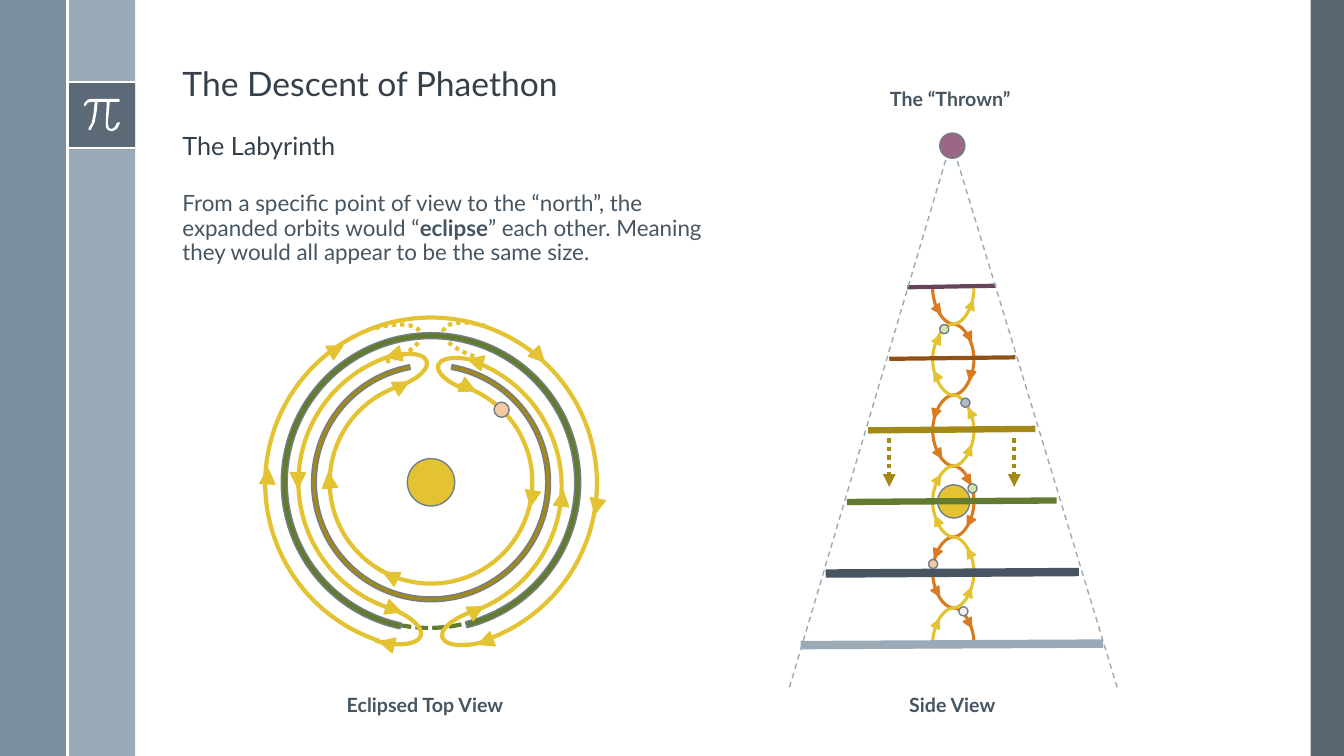
from lxml import etree
from pptx import Presentation
from pptx.dml.color import RGBColor
from pptx.enum.dml import MSO_LINE
from pptx.enum.shapes import MSO_CONNECTOR, MSO_SHAPE
from pptx.enum.text import MSO_ANCHOR, MSO_AUTO_SIZE, PP_ALIGN
from pptx.oxml.ns import qn
from pptx.util import Inches, Pt

RECT, OVAL, TRIANGLE = MSO_SHAPE.RECTANGLE, MSO_SHAPE.OVAL, MSO_SHAPE.ISOSCELES_TRIANGLE
ARC, BLOCK_ARC = MSO_SHAPE.ARC, MSO_SHAPE.BLOCK_ARC
STRAIGHT, CURVE = MSO_CONNECTOR.STRAIGHT, MSO_CONNECTOR.CURVE
DASH, DOT, SHORT_DASH = MSO_LINE.DASH, MSO_LINE.ROUND_DOT, MSO_LINE.SQUARE_DOT
TOP, BOTTOM = MSO_ANCHOR.TOP, MSO_ANCHOR.BOTTOM
LEFT, CENTER = PP_ALIGN.LEFT, PP_ALIGN.CENTER
NO_FIT = MSO_AUTO_SIZE.NONE

CELL = Inches(0.01)
COLUMNS, ROWS, BAND = 1333, 750, 67
FONT = "Lato"
COLORS = {
    "white": "FFFFFF", "heading": "35404A", "text": "465562", "slate": "475562",
    "steel": "6A8093", "mist": "9BAAB7", "outline": "737E87", "gold": "E4C333",
    "orange": "D97B20", "green": "637B2E", "olive": "A48916", "brown": "915216",
    "plum": "674459", "mauve": "9A6785", "peach": "F1C9A3", "haze": "AFBBC6",
    "lime": "D4E3B4", "pearl": "F2F2F2",
}
PI_OUTLINE = [
    (118, 98), (90, 98), (87, 99), (84, 102), (83, 104), (84, 105), (85, 105), (87, 102),
    (90, 101), (94, 101), (93, 112), (91, 122), (88, 127), (88, 129), (90, 129), (94, 121),
    (96, 110), (97, 101), (106, 101), (105, 122), (105, 126), (107, 129), (110, 130),
    (112, 130), (116, 128), (119, 122), (118, 121), (116, 122), (114, 126), (111, 128),
    (108, 127), (107, 122), (109, 101), (118, 101), (119, 100),
]
DESCENT_HEADS = [
    (926, 303, 144.8), (957, 330, 154.5), (958, 368, 190.1), (923, 406, 197.1),
    (927, 446, 148.1), (956, 472, 150.3), (957, 513, 206.9), (924, 545, 202.2),
    (925, 583, 150.2), (957, 614, 150.5),
]
ASCENT_HEADS = [
    (925, 614, 23.7), (957, 583, 20.8), (957, 544, 331.9), (925, 512, 335.8),
    (926, 471, 32.8), (957, 442, 21.5), (958, 405, 333.6), (924, 368, 332.9),
    (926, 332, 26), (959, 298, 20.5),
]
ORBIT_HEADS = [
    (527, 346, 136.3), (584, 495, 191.1), (474, 629, 248.5), (465, 598, 62),
    (550, 487, 7.7), (520, 487, 188.6), (376, 631, 284), (383, 597, 109.9),
    (258, 465, 2.8), (288, 469, 180), (319, 469, 354.2), (380, 564, 296.3),
    (457, 377, 115.2), (464, 351, 284.9), (326, 339, 60.6), (383, 345, 255.1),
    (391, 375, 61.6),
]
LOOP = (163.52, 52.26)
LABYRINTH_ARCS = [
    ((263, 315, 329, 329), 90, (10.94, 204.11), ""),
    ((294, 351, 263, 263), 90, (119.17, 205.85), ""),
    ((327, 378, 201, 201), 90, (117.51, 20.14), ""),
    ((437, 605, 79, 32), 163.5, LOOP, ""),
    ((433, 358, 73, 30), 197.2, LOOP, ""),
    ((327, 378, 201, 201), 270, (117.03, 201.12), "H"),
    ((296, 347, 263, 263), 270, (119.17, 205.85), "H"),
    ((334, 601, 85, 35), 196.5, LOOP, "H"),
    ((350, 354, 75, 31), 162.8, LOOP, "H"),
]
SIDE_RINGS = [
    (900, 988, "plum", 3), (882, 1007, "brown", 3), (861, 1027, "olive", 4.5),
    (840, 1048, "green", 4.5), (819, 1070, "slate", 6), (794, 1094, "mist", 6),
]
PLANETS = [(921, 555, "peach"), (953, 395, "haze"), (932, 322, "lime"),
           (951, 602, "pearl"), (960, 480, "lime")]


def cells(*counts):
    """Convert counts of grid cells to lengths."""
    return [round(count * CELL) for count in counts]


def rgb(name):
    """Look up a named colour."""
    return RGBColor.from_string(COLORS[name])


def style_line(line, color, width, dash=None):
    """Give a line its colour, width and dash."""
    line.color.rgb = rgb(color)
    line.width = Pt(width)
    if dash:
        line.dash_style = dash


def paint(shape, fill=None, line=None, width=1, dash=None, alpha=None):
    """Give a shape its fill and outline."""
    shape.shadow.inherit = False
    if fill:
        shape.fill.solid()
        shape.fill.fore_color.rgb = rgb(fill)
    else:
        shape.fill.background()
    if alpha:
        color = shape.element.spPr.find(".//" + qn("a:srgbClr"))
        etree.SubElement(color, qn("a:alpha")).set("val", str(alpha * 1000))
    if line:
        style_line(shape.line, line, width, dash)
    else:
        shape.line.fill.background()


def add_figure(slide, kind, box, turn=0, flip="", cuts=(), **look):
    """Add a preset shape, turned, flipped and adjusted by its cuts."""
    figure = slide.shapes.add_shape(kind, *cells(*box))
    figure.rotation = turn
    for index, cut in enumerate(cuts):
        figure.adjustments[index] = cut
    for axis in flip:
        figure.element.spPr.xfrm.set("flip" + axis, "1")
    paint(figure, **look)


def add_heads(slide, heads, size, color):
    """Add the direction triangles of an orbit."""
    for left, top, turn in heads:
        add_figure(slide, TRIANGLE, (left, top, size, size), turn, fill=color, line=color)


def add_line(slide, ends, color, width, dash=None, arrow=False, kind=STRAIGHT, turn=0, flip=False):
    """Add a straight or curved connector."""
    link = slide.shapes.add_connector(kind, *cells(*ends))
    style_line(link.line, color, width, dash)
    frame = link.element.spPr.xfrm
    if turn:
        frame.set("rot", str(turn * 60000))
    if flip:
        frame.set("flipH", "1")
    if arrow:
        outline = link.element.spPr.find(qn("a:ln"))
        etree.SubElement(outline, qn("a:tailEnd")).set("type", "triangle")
    etree.SubElement(link.element.spPr, qn("a:effectLst"))


def write(holder, box, *parts, size=14, color="text", bold=False, align=LEFT, anchor=TOP, spacing=1.0, after=0):
    """Place a text holder and fill it, with every second part in bold."""
    holder.left, holder.top, holder.width, holder.height = cells(*box)
    frame = holder.text_frame
    frame.word_wrap, frame.auto_size, frame.vertical_anchor = True, NO_FIT, anchor
    paragraph = frame.paragraphs[0]
    properties = paragraph._p.get_or_add_pPr()
    properties.set("marL", "0")
    properties.set("indent", "0")
    etree.SubElement(properties, qn("a:buNone"))
    paragraph.alignment, paragraph.line_spacing = align, spacing
    paragraph.space_before, paragraph.space_after = Pt(0), Pt(after)
    for index, part in enumerate(parts):
        run = paragraph.add_run()
        run.text = part
        run.font.name, run.font.size = FONT, Pt(size)
        run.font.bold = bold or index % 2 == 1
        run.font.color.rgb = rgb(color)


def add_label(slide, left, top, caption):
    """Add a centred bold caption."""
    label = slide.shapes.add_textbox(0, 0, CELL, CELL)
    write(label, (left, top, 279, 34), caption, bold=True, align=CENTER)


def draw_sidebars(slide):
    """Draw the side bands and the pi badge."""
    add_figure(slide, RECT, (COLUMNS - 33, 0, 33, ROWS), fill="slate", alpha=90)
    add_figure(slide, RECT, (BAND, 0, BAND, ROWS), fill="mist")
    add_figure(slide, RECT, (0, 0, BAND, ROWS), fill="steel", alpha=88)
    add_figure(slide, RECT, (BAND, 81, BAND, BAND), fill="slate", alpha=75)
    for row in (81, 147):
        add_line(slide, (BAND, row, 2 * BAND, row), "white", 1.5)
    badge = slide.shapes.build_freeform(*PI_OUTLINE[0], scale=CELL)
    badge.add_line_segments(PI_OUTLINE[1:], close=True)
    paint(badge.convert_to_shape(), fill="white")
    add_line(slide, (BAND, 0, BAND, ROWS), "white", 1.5)


def draw_strand(slide, color, starts_left, heads):
    """Draw one strand of the side-view helix."""
    for turn in range(5):
        top = 301 + 70.4 * turn
        rightward = starts_left == (turn % 2 == 0)
        add_line(slide, (910, top, 981, top + 41), color, 2.25, kind=CURVE,
                 turn=270 if rightward else 90, flip=rightward)
    add_heads(slide, heads, 9, color)


def draw_side_view(slide):
    """Draw the cone of sight with its stacked orbits."""
    add_figure(slide, OVAL, (930, 481, 32, 33), fill="gold", line="outline")
    draw_strand(slide, "orange", True, DESCENT_HEADS)
    draw_strand(slide, "gold", False, ASCENT_HEADS)
    for level, (start, end, color, width) in enumerate(SIDE_RINGS):
        row = 285 + 71 * level
        add_line(slide, (start, row, end, row - 1.5), color, width)
    for left, top, color in PLANETS:
        add_figure(slide, OVAL, (left, top, 9, 9), fill=color, line="outline")
    for sight in ((783, 682, 945, 135), (1108, 682, 943, 138)):
        add_line(slide, sight, "mist", 1, DASH, arrow=True)
    add_figure(slide, OVAL, (932, 132, 25, 25), fill="mauve", line="outline")
    for column in (882, 1006):
        add_line(slide, (column, 435, column, 483), "olive", 3, DOT, arrow=True)
    add_label(slide, 803, 81, "The “Thrown”")
    add_label(slide, 805, 683, "Side View")


def draw_top_view(slide):
    """Draw the labyrinth of eclipsed orbits."""
    add_figure(slide, ARC, (277, 326, 297, 297), 90, cuts=(196.91, 17.74),
               line="green", width=3, dash=SHORT_DASH)
    for box, turn, flip in (((438, 323, 79, 32), 196.5, "V"), ((334, 325, 85, 35), 163.5, "HV")):
        add_figure(slide, ARC, box, turn, flip, LOOP, line="gold", width=3, dash=DOT)
    add_figure(slide, BLOCK_ARC, (279, 330, 297, 297), 270, cuts=(115.18, 99.65, 0.02),
               fill="green", line="outline")
    add_figure(slide, BLOCK_ARC, (309, 360, 237, 237), 90, cuts=(114.11, 101.76, 0.02),
               fill="olive", line="outline")
    add_figure(slide, OVAL, (404, 455, 47, 47), fill="gold", line="outline")
    for box, turn, cuts, flip in LABYRINTH_ARCS:
        add_figure(slide, ARC, box, turn, flip, cuts, line="gold", width=3)
    add_heads(slide, ORBIT_HEADS, 15, "gold")
    add_figure(slide, OVAL, (490, 399, 15, 15), fill="peach", line="outline")
    add_label(slide, 282, 683, "Eclipsed Top View")


def main():
    """Build the slide and save it."""
    deck = Presentation()
    deck.slide_width, deck.slide_height = cells(COLUMNS, ROWS)
    slide = deck.slides.add_slide(deck.slide_layouts[3])
    title, subtitle, body = slide.placeholders
    heading = {"color": "heading", "anchor": BOTTOM, "spacing": 0.9, "after": 6}
    write(title, (171, 64, 1070, 44), "The Descent of Phaethon", size=24, **heading)
    write(subtitle, (171, 109, 1070, 56), "The Labyrinth", size=18, **heading)
    write(body, (171, 186, 546, 128),
          "From a specific point of view to the “north”, the expanded orbits would “",
          "eclipse", "” each other. Meaning they would all appear to be the same size.",
          size=16, spacing=0.9, after=6)
    draw_sidebars(slide)
    draw_top_view(slide)
    draw_side_view(slide)
    deck.save("out.pptx")


if __name__ == "__main__":
    main()
